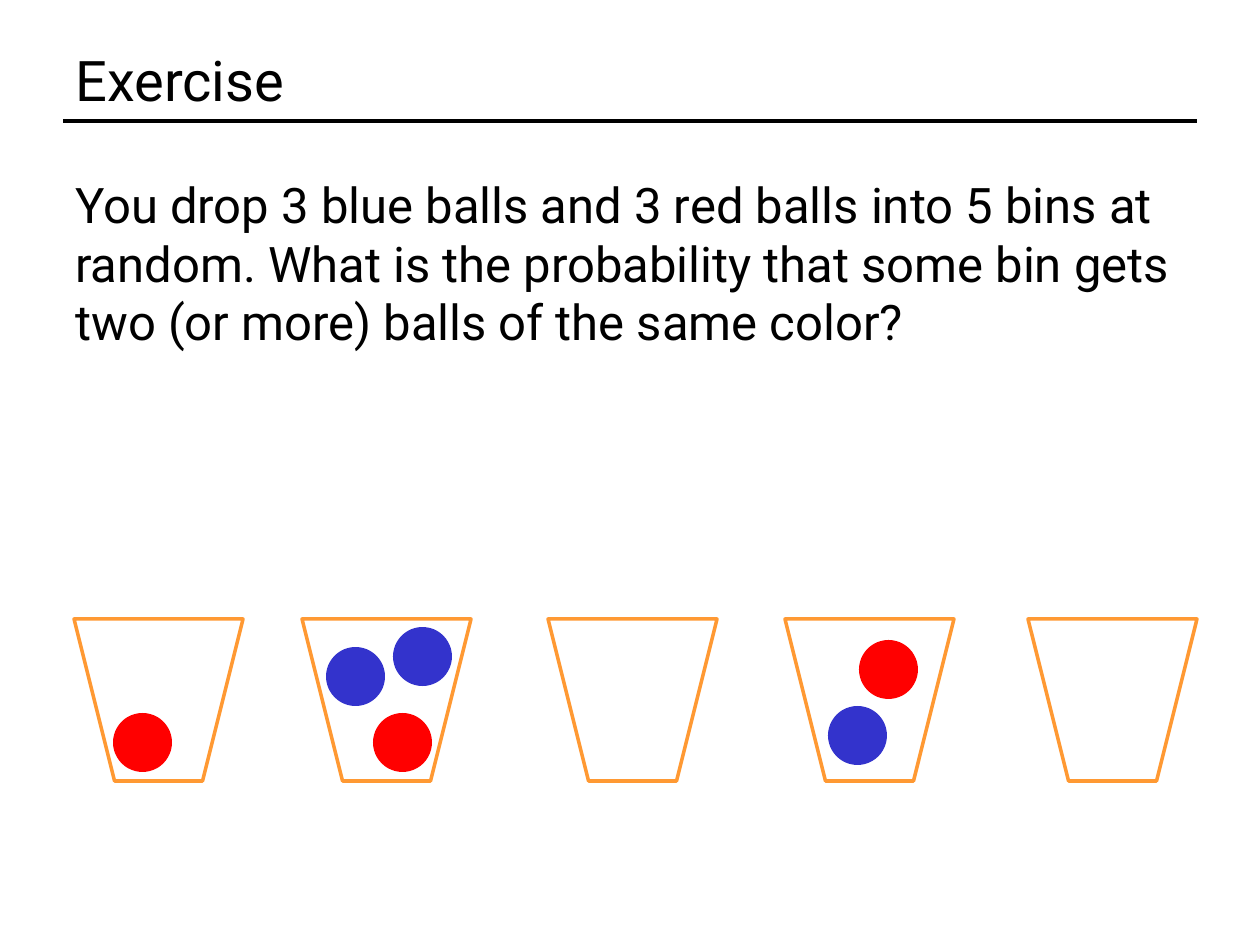
from lxml.etree import SubElement
from pptx import Presentation
from pptx.dml.color import RGBColor
from pptx.enum.shapes import MSO_CONNECTOR as Connector, MSO_SHAPE as Shape
from pptx.enum.text import MSO_ANCHOR as Anchor
from pptx.oxml.ns import qn
from pptx.util import Emu, Pt

COLORS = {"black": "000000", "orange": "FF9933", "red": "FF0000", "blue": "3333CC"}
FONT = "Roboto"
BIN_TOP, BIN_WIDTH, BIN_HEIGHT = 619, 169, 162
BALL_SIZE = 59
BIN_LEFTS = [74, 302, 548, 785, 1028]
BALLS = [
    ("red", 113, 713),
    ("red", 859, 640),
    ("red", 373, 713),
    ("blue", 326, 647),
    ("blue", 393, 627),
    ("blue", 828, 706),
]
QUESTION = (
    "You drop 3 blue balls and 3 red balls into 5 bins at random. "
    "What is the probability that some bin gets two (or more) balls of the same color?"
)


def px(value):
    return Emu(round(value * 914400 / 126))


def color(name):
    return RGBColor.from_string(COLORS[name])


def add_text(slide, text, box, size, anchor):
    text_frame = slide.shapes.add_textbox(*map(px, box)).text_frame
    text_frame.word_wrap = True
    text_frame.vertical_anchor = anchor
    text_frame.text = text
    font = text_frame.paragraphs[0].runs[0].font
    font.name, font.size = FONT, Pt(size)
    font.color.rgb = color("black")


def add_rule(slide, left, right, y):
    rule = slide.shapes.add_connector(Connector.STRAIGHT, px(left), px(y), px(right), px(y))
    rule.line.color.rgb = color("black")
    rule.line.width = Pt(2)
    SubElement(rule._element.spPr, qn("a:effectLst"))


def add_bin(slide, left):
    shape = slide.shapes.add_shape(
        Shape.TRAPEZOID, px(left), px(BIN_TOP), px(BIN_WIDTH), px(BIN_HEIGHT)
    )
    shape.rotation = 180
    shape.shadow.inherit = False
    shape.fill.background()
    shape.line.color.rgb = color("orange")
    shape.line.width = Pt(2)


def add_ball(slide, color_name, left, top):
    shape = slide.shapes.add_shape(
        Shape.OVAL, px(left), px(top), px(BALL_SIZE), px(BALL_SIZE)
    )
    shape.shadow.inherit = False
    shape.fill.solid()
    shape.fill.fore_color.rgb = color(color_name)
    shape.line.fill.background()


def main():
    """Build the balls-and-bins exercise slide."""
    presentation = Presentation()
    presentation.slide_width, presentation.slide_height = px(1260), px(945)
    slide = presentation.slides.add_slide(presentation.slide_layouts[6])
    add_rule(slide, 63, 1197, 121)
    add_text(slide, "Exercise", (63, 38, 1134, 83), 32, Anchor.MIDDLE)
    add_text(slide, QUESTION, (63, 168, 1134, 190), 28, Anchor.TOP)
    for left in BIN_LEFTS:
        add_bin(slide, left)
    for ball in BALLS:
        add_ball(slide, *ball)
    presentation.save("out.pptx")


if __name__ == "__main__":
    main()
